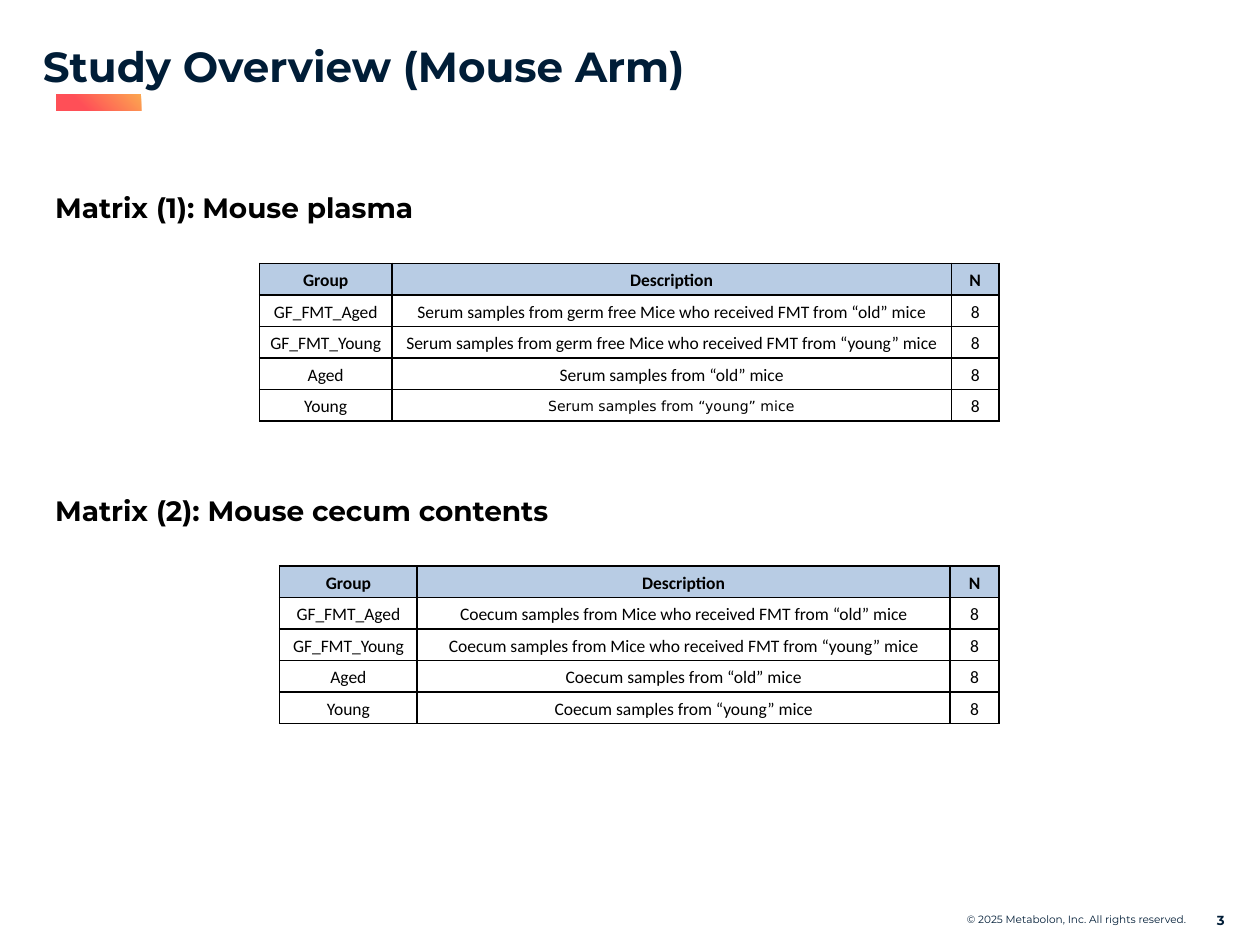
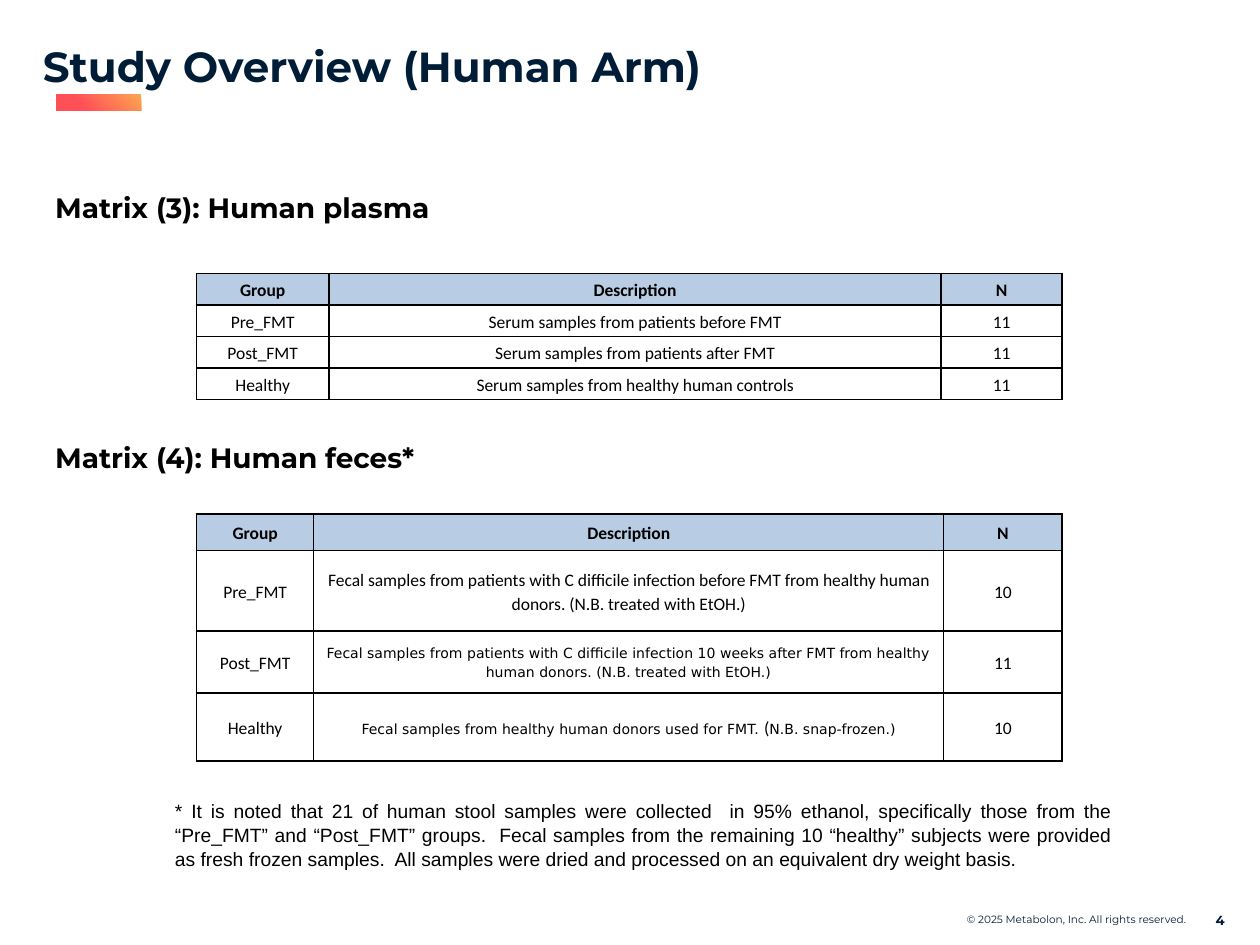
import pptx
import pptx.dml.color
import pptx.enum.shapes
import pptx.enum.text
import pptx.oxml
import pptx.oxml.ns
import pptx.util
from lxml import etree

EMU_PER_PX = 9144
NAVY = pptx.dml.color.RGBColor(0x00, 0x1D, 0x37)
BLACK = pptx.dml.color.RGBColor(0x00, 0x00, 0x00)
HEADER_BLUE = pptx.dml.color.RGBColor(0xB8, 0xCC, 0xE4)
CORAL = pptx.dml.color.RGBColor(0xFF, 0x4F, 0x57)
ORANGE = pptx.dml.color.RGBColor(0xFC, 0xA7, 0x50)
ALIGN = pptx.enum.text.PP_ALIGN
ANCHOR = pptx.enum.text.MSO_ANCHOR
BRAND_FONT = "Montserrat"
HEADERS = ("Group", "Description", "N")
SMALL = {"font": "DejaVu Sans", "size": 8}


def px(length):
    return pptx.util.Emu(length * EMU_PER_PX)


def write(para, text, font=BRAND_FONT, size=10, color=BLACK, bold=False,
          align=ALIGN.LEFT, spacing=None):
    para.alignment = align
    if spacing:
        para.line_spacing = spacing
    span = para.add_run()
    span.text = text
    span.font.name = font
    span.font.size = pptx.util.Pt(size)
    span.font.bold = bold
    span.font.color.rgb = color


def add_child(parent, tag, **attributes):
    return etree.SubElement(parent, pptx.oxml.ns.qn(tag), **attributes)


class Report:
    def __init__(self):
        self.deck = pptx.Presentation()
        self.deck.slide_width = px(1000)
        self.deck.slide_height = px(750)
        self.page = None

    def add_page(self, title, number):
        self.page = self.deck.slides.add_slide(self.deck.slide_layouts[6])
        self.add_accent()
        self.add_text((34, 21, 883, 52), title, inset=False, anchor=ANCHOR.BOTTOM,
                      size=24, color=NAVY, bold=True, spacing=0.9)
        self.add_text((634, 710, 317, 40), "© 2025 Metabolon, Inc. All rights reserved.",
                      anchor=ANCHOR.MIDDLE, size=6, color=NAVY, align=ALIGN.RIGHT)
        self.add_text((947, 710, 25, 40), str(number), inset=False, anchor=ANCHOR.MIDDLE,
                      size=7.5, color=NAVY, bold=True, align=ALIGN.RIGHT)

    def add_accent(self):
        bar = self.page.shapes.add_shape(
            pptx.enum.shapes.MSO_SHAPE.RECTANGLE, *map(px, (45, 75, 67, 13)))
        bar.shadow.inherit = False
        bar.line.fill.background()
        bar.fill.gradient()
        stops = zip(bar.fill.gradient_stops, (CORAL, ORANGE), (0.3, 1))
        for stop, color, position in stops:
            stop.color.rgb = color
            stop.position = position
        gradient = bar.element.spPr.find(pptx.oxml.ns.qn("a:gradFill"))
        gradient.remove(gradient.find(pptx.oxml.ns.qn("a:lin")))
        radial = add_child(gradient, "a:path", path="circle")
        add_child(radial, "a:fillToRect", t="100000", r="100000")

    def add_text(self, place, text, inset=True, anchor=ANCHOR.TOP, **style):
        box = self.page.shapes.add_textbox(*map(px, place))
        frame = box.text_frame
        frame.word_wrap = True
        frame.vertical_anchor = anchor
        if not inset:
            frame.margin_left = frame.margin_right = 0
            frame.margin_top = frame.margin_bottom = 0
        write(frame.paragraphs[0], text, **style)

    def add_heading(self, top, text):
        self.add_text((34, top, 500, 40), text, size=16, bold=True)

    def add_table(self, left, top, widths, heights, records):
        rows = [HEADERS, *records]
        table = self.page.shapes.add_table(
            len(rows), len(widths), px(left), px(top),
            px(sum(widths)), px(sum(heights))).table
        table.first_row = table.horz_banding = False
        for column, width in zip(table.columns, widths):
            column.width = px(width)
        for index, (height, values) in enumerate(zip(heights, rows)):
            table.rows[index].height = px(height)
            for cell, value in zip(table.rows[index].cells, values):
                self.fill_cell(cell, value, header=index == 0)

    def fill_cell(self, cell, value, header):
        cell.vertical_anchor = ANCHOR.MIDDLE
        cell.margin_left = cell.margin_right = px(7)
        cell.margin_top = cell.margin_bottom = 0
        pieces = [(value, {})] if isinstance(value, str) else value
        for text, changes in pieces:
            style = {"font": "Calibri", "bold": header, **changes}
            write(cell.text_frame.paragraphs[0], text,
                  align=ALIGN.CENTER, spacing=1.15, **style)
        properties = cell._tc.get_or_add_tcPr()
        for side in ("a:lnL", "a:lnR", "a:lnT", "a:lnB"):
            border = add_child(properties, side, w=str(pptx.util.Pt(1)))
            add_child(add_child(border, "a:solidFill"), "a:srgbClr", val=str(BLACK))
        if header:
            cell.fill.solid()
            cell.fill.fore_color.rgb = HEADER_BLUE
        else:
            cell.fill.background()


def add_mouse_arm(report):
    report.add_page("Study Overview (Mouse Arm)", 3)
    report.add_heading(146, "Matrix (1): Mouse plasma")
    report.add_table(206, 209, (105, 444, 38), [25] * 5, [
        ("GF_FMT_Aged", "Serum samples from germ free Mice who received FMT from “old” mice", "8"),
        ("GF_FMT_Young", "Serum samples from germ free Mice who received FMT from “young” mice", "8"),
        ("Aged", "Serum samples from “old” mice", "8"),
        ("Young", [("Serum samples from “young” mice", SMALL)], "8"),
    ])
    report.add_heading(387, "Matrix (2): Mouse cecum contents")
    report.add_table(222, 449, (109, 423, 39), [25] * 5, [
        ("GF_FMT_Aged", "Coecum samples from Mice who received FMT from “old” mice", "8"),
        ("GF_FMT_Young", "Coecum samples from Mice who received FMT from “young” mice", "8"),
        ("Aged", "Coecum samples from “old” mice", "8"),
        ("Young", "Coecum samples from “young” mice", "8"),
    ])


def add_human_arm(report):
    report.add_page("Study Overview (Human Arm)", 4)
    report.add_heading(146, "Matrix (3): Human plasma")
    report.add_table(156, 217, (105, 486, 96), [25] * 4, [
        ("Pre_FMT", "Serum samples from patients before FMT", "11"),
        ("Post_FMT", "Serum samples from patients after FMT", "11"),
        ("Healthy", "Serum samples from healthy human controls", "11"),
    ])
    report.add_heading(345, "Matrix (4): Human feces*")
    report.add_table(156, 408, (93, 500, 94), (29, 64, 49, 54), [
        ("Pre_FMT", "Fecal samples from patients with C difficile infection before FMT "
         "from healthy human donors. (N.B. treated with EtOH.)", "10"),
        ("Post_FMT", [("Fecal samples from patients with C difficile infection 10 weeks after FMT "
                       "from healthy human donors. (N.B. treated with EtOH.)", SMALL)], "11"),
        ("Healthy", [("Fecal samples from healthy human donors used for FMT. ", SMALL),
                     ("(", {}), ("N.B. snap-frozen.)", SMALL)], "10"),
    ])
    report.add_text(
        (129, 628, 764, 70),
        "* It is noted that 21 of human stool samples were collected  in 95% ethanol, "
        "specifically those from the “Pre_FMT” and “Post_FMT” groups.  Fecal samples from "
        "the remaining 10 “healthy” subjects were provided as fresh frozen samples.  "
        "All samples were dried and processed on an equivalent dry weight basis.",
        font="Arial", size=11, align=ALIGN.JUSTIFY, spacing=1.06)


def main():
    report = Report()
    add_mouse_arm(report)
    add_human_arm(report)
    report.deck.save("out.pptx")


if __name__ == "__main__":
    main()
